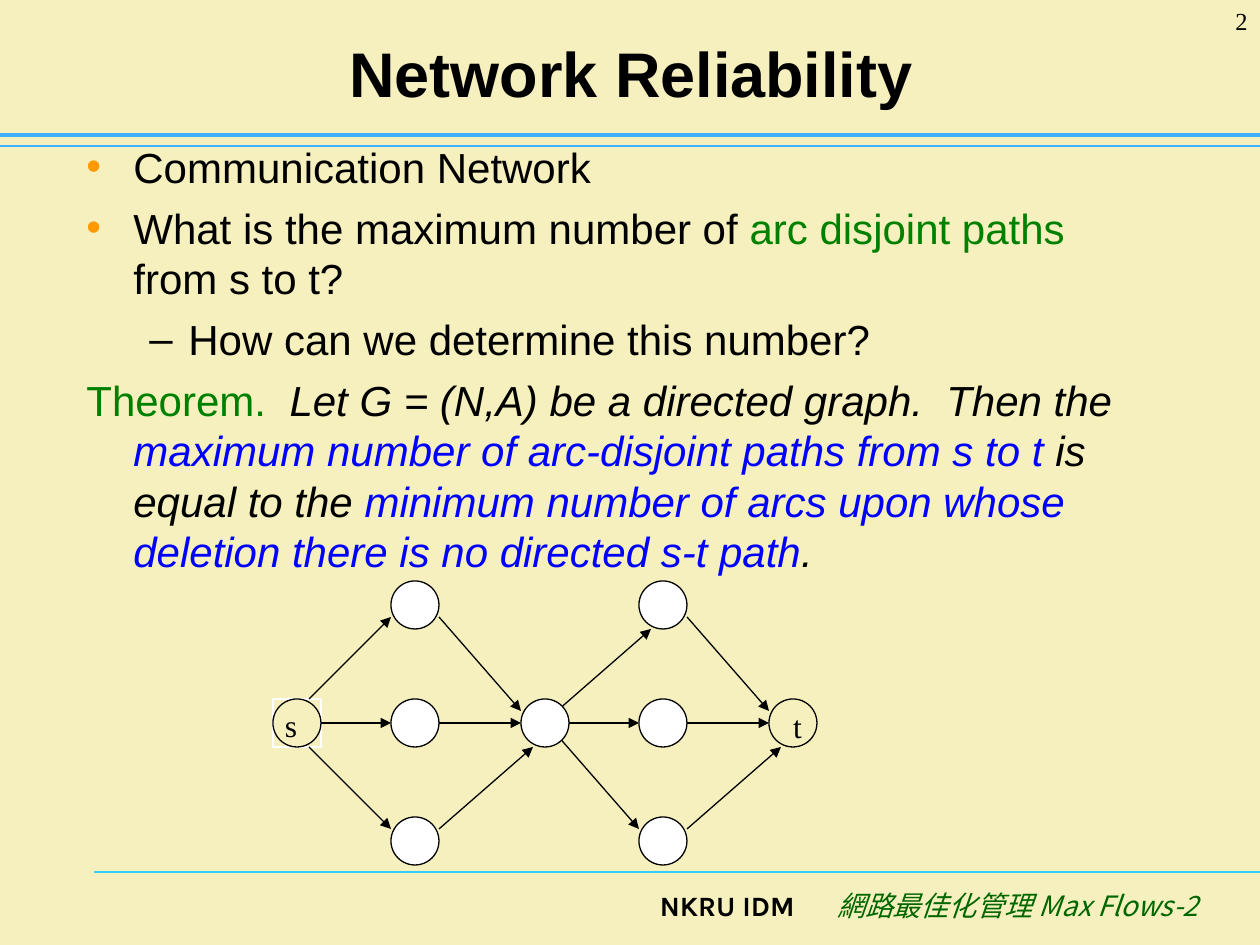
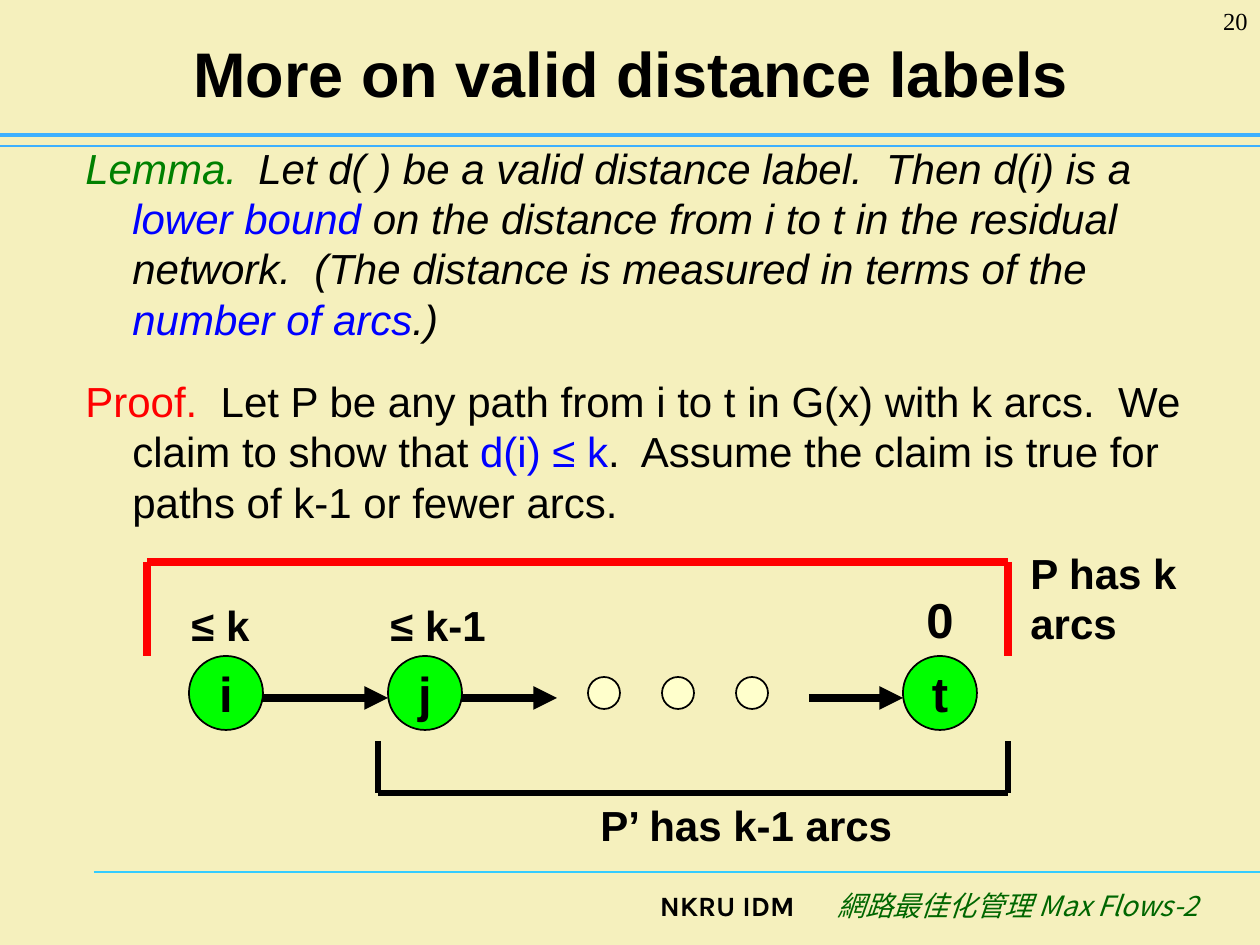
"""Build two slides on network reliability and valid distance labels."""
import itertools

import lxml.etree
import pptx
import pptx.dml.color
import pptx.enum.shapes
import pptx.enum.text
import pptx.oxml.ns
import pptx.util

SCALE = 914400 / 126
SHAPE = pptx.enum.shapes.MSO_SHAPE
ALIGN = pptx.enum.text.PP_ALIGN
ANCHOR = pptx.enum.text.MSO_ANCHOR
COLORS = {
    "paper": "F5F0BD", "ink": "000000", "band": "3DB0FF", "rule": "33CCFF",
    "bullet": "FF9900", "term": "008000", "key": "0000FF", "alert": "FF0000",
    "course": "006600", "white": "FFFFFF", "node": "00FF00", "dot": "FFFFCC",
}
SANS, SERIF, CJK, BRAND = "Arial", "Times New Roman", "Noto Sans CJK SC", "Karla"

BANDS = [((0, 146), (1260, 146), "band", 0.75),
         ((0, 135), (1260, 135), "band", 2.5),
         ((94, 872), (1260, 872), "rule", 0.75)]
TITLE_BOX = (64, 16, 1134, 113)
NUMBER_BOX = (1155, 0, 105, 63)
FOOTERS = [((600, 882, 207, 63), "NKRU IDM", dict(font=BRAND, bold=True)),
           ((800, 882, 411, 63), "網路最佳化管理 Max Flows-2",
            dict(font=CJK, color="course", italic=True))]

RELIABILITY = {
    "title": "Network Reliability", "number": "2", "box": (74, 135, 1065, 703),
    "body": [
        {"bullet": ("•", "bullet"), "runs": [("Communication Network", "ink", False)]},
        {"bullet": ("•", "bullet"), "runs": [
            ("What is the maximum number of ", "ink", False),
            ("arc disjoint paths", "term", False),
            (" from s to t?", "ink", False)]},
        {"bullet": ("–", "ink"), "margin": 102, "hang": 39, "runs": [
            ("How can we determine this number?", "ink", False)]},
        {"runs": [
            ("Theorem.  ", "term", False),
            ("Let G = (N,A) be a directed graph.  Then the ", "ink", True),
            ("maximum number of arc-disjoint paths from s to t", "key", True),
            (" is equal to the ", "ink", True),
            ("minimum number of arcs upon whose deletion there is no directed s-t path",
             "key", True),
            (".", "ink", True)]},
    ],
}
LABELS = {
    "title": "More on valid distance labels", "number": "20", "box": (73, 136, 1144, 441),
    "body": [
        {"tab": 199, "runs": [
            ("Lemma.\t", "term", True),
            ("Let d( ) be a valid distance label.  Then d(i) is a ", "ink", True),
            ("lower bound", "key", True),
            (" on the distance from i to t in the residual network.  "
             "(The distance is measured in terms of the ", "ink", True),
            ("number of arcs", "key", True),
            (".)", "ink", True)]},
        {"before": 18, "runs": [
            ("Proof. ", "alert", False),
            (" Let P be any path from i to t in G(x) with k arcs.  "
             "We claim to show that ", "ink", False),
            ("d(i) ≤ k", "key", False),
            (".  Assume the claim is true for paths of k-1 or fewer arcs.", "ink", False)]},
    ],
}

COLUMNS, ROWS, RADIUS = (297, 415, 545, 663, 793), (605, 723, 841), 24
NODES = [(0, 1, None), (1, 0, "white"), (1, 1, "white"), (1, 2, "white"), (2, 1, "white"),
         (3, 0, "white"), (3, 1, "white"), (3, 2, "white"), (4, 1, None)]
LEVEL = ((24, 0), (-24, 0))
FALL, RISE = ((24, 12), (-24, -12)), ((24, -12), (-12, 24))
ARCS = [((0, 1), (1, 0), ((12, -24), (-24, 12))), ((0, 1), (1, 2), ((12, 24), (-24, -12))),
        ((2, 1), (3, 0), ((12, -12), (-12, 24))), ((2, 1), (3, 2), ((12, 12), (-24, -12)))]
ARCS += [((col, 1), (col + 1, 1), LEVEL) for col in range(4)]
ARCS += [((col, row), (col + 1, 1), offsets)
         for col in (1, 3) for row, offsets in ((0, FALL), (2, RISE))]
ENDS = [("s", (285, 706, 13, 38)), ("t", (793, 707, 9, 38))]

PATH_TOP, PATH_SIZE, PATH_ARROW_Y = 656, 74, 698
PATH_NODES = [("i", 189), ("j", 388), ("t", 903)]
PATH_ARROWS = [(262, 388), (462, 557), (809, 903)]
DOT_SIZE, DOT_TOP, DOT_LEFT, DOT_STEP, DOT_COUNT = 32, 677, 588, 74, 3
BRACKETS = [([(147, 656), (147, 562), (1008, 562), (1008, 656)], "alert", 4.5),
            ([(378, 741), (378, 793), (1008, 793), (1008, 741)], "ink", 3)]
CAPTIONS = [("P’ has k-1 arcs", (588, 793, 388, 63), 24), ("0", (914, 583, 94, 72), 28),
            ("≤ k-1", (378, 593, 147, 63), 24), ("≤ k", (179, 593, 147, 63), 24),
            ("P has k arcs", (1018, 541, 242, 113), 24)]


def px(*lengths):
    return [pptx.util.Emu(round(length * SCALE)) for length in lengths]


def rgb(color):
    return pptx.dml.color.RGBColor.from_string(COLORS[color])


def child(parent, tag, **attributes):
    return lxml.etree.SubElement(parent, pptx.oxml.ns.qn(tag), attributes)


def add_run(paragraph, text, size, font=SANS, color="ink", bold=False, italic=False):
    run = paragraph.add_run()
    run.text = text
    run.font.size, run.font.name = pptx.util.Pt(size), font
    run.font.bold, run.font.italic = bold, italic
    run.font.color.rgb = rgb(color)
    if font == CJK:
        child(run.font._element, "a:ea", typeface=font)


def add_text(slide, box, text, size, align=ALIGN.LEFT, inset=True, **style):
    frame = slide.shapes.add_textbox(*px(*box)).text_frame
    frame.word_wrap = inset
    if not inset:
        frame.margin_left = frame.margin_right = frame.margin_top = frame.margin_bottom = 0
    frame.paragraphs[0].alignment = align
    add_run(frame.paragraphs[0], text, size, **style)


def add_line(slide, start, end, color, width, arrow=False):
    line = slide.shapes.add_connector(
        pptx.enum.shapes.MSO_CONNECTOR.STRAIGHT, *px(*start, *end))
    line.line.color.rgb, line.line.width = rgb(color), pptx.util.Pt(width)
    if arrow:
        child(line.line._get_or_add_ln(), "a:tailEnd", type="triangle")
    child(line._element.spPr, "a:effectLst")


def add_outline(slide, kind, box, fill, color="ink", width=0.75):
    shape = slide.shapes.add_shape(kind, *px(*box))
    shape.shadow.inherit = False
    if fill:
        shape.fill.solid()
        shape.fill.fore_color.rgb = rgb(fill)
    else:
        shape.fill.background()
    shape.line.color.rgb, shape.line.width = rgb(color), pptx.util.Pt(width)
    return shape


def add_body(slide, box, paragraphs):
    frame = slide.shapes.add_textbox(*px(*box)).text_frame
    frame.word_wrap = True
    for index, content in enumerate(paragraphs):
        paragraph = frame.add_paragraph() if index else frame.paragraphs[0]
        paragraph.space_before = pptx.util.Pt(content.get("before", 6))
        margin, hang = px(content.get("margin", 47), content.get("hang", 47))
        props = paragraph._p.get_or_add_pPr()
        props.set("marL", str(margin))
        props.set("indent", str(-hang))
        if "bullet" in content:
            mark, color = content["bullet"]
            child(child(props, "a:buClr"), "a:srgbClr", val=COLORS[color])
            child(props, "a:buFont", typeface=SANS)
            child(props, "a:buChar", char=mark)
        else:
            child(props, "a:buNone")
        if "tab" in content:
            child(child(props, "a:tabLst"), "a:tab", pos=str(px(content["tab"])[0]), algn="l")
        for text, color, italic in content["runs"]:
            add_run(paragraph, text, 24, color=color, italic=italic)


def add_slide(deck, content):
    slide = deck.slides.add_slide(deck.slide_layouts[5])
    for start, end, color, width in BANDS:
        add_line(slide, start, end, color, width)
    for box, text, style in FOOTERS:
        add_text(slide, box, text, 16, ALIGN.RIGHT, **style)
    title = slide.shapes.title
    title.left, title.top, title.width, title.height = px(*TITLE_BOX)
    frame = title.text_frame
    frame.auto_size = pptx.enum.text.MSO_AUTO_SIZE.NONE
    frame.vertical_anchor = ANCHOR.MIDDLE
    frame.paragraphs[0].alignment = ALIGN.CENTER
    add_run(frame.paragraphs[0], content["title"], 36, bold=True)
    add_body(slide, content["box"], content["body"])
    add_text(slide, NUMBER_BOX, content["number"], 14, ALIGN.RIGHT, font=SERIF)
    return slide


def node_box(col, row):
    return COLUMNS[col] - RADIUS, ROWS[row] - RADIUS, 2 * RADIUS, 2 * RADIUS


def draw_network(slide):
    add_outline(slide, SHAPE.RECTANGLE, node_box(0, 1), None, "white")
    for origin, target, offsets in ARCS:
        start, end = [(COLUMNS[col] + dx, ROWS[row] + dy)
                      for (col, row), (dx, dy) in zip((origin, target), offsets)]
        add_line(slide, start, end, "ink", 0.75, arrow=True)
    for col, row, fill in NODES:
        add_outline(slide, SHAPE.OVAL, node_box(col, row), fill)
    for letter, box in ENDS:
        add_text(slide, box, letter, 18, inset=False, font=SERIF)


def draw_path(slide):
    for letter, left in PATH_NODES:
        node = add_outline(slide, SHAPE.OVAL, (left, PATH_TOP, PATH_SIZE, PATH_SIZE),
                           "node", width=1)
        frame = node.text_frame
        frame.word_wrap, frame.vertical_anchor = False, ANCHOR.MIDDLE
        frame.paragraphs[0].alignment = ALIGN.CENTER
        add_run(frame.paragraphs[0], letter, 28, bold=True)
    for step in range(DOT_COUNT):
        add_outline(slide, SHAPE.OVAL,
                    (DOT_LEFT + step * DOT_STEP, DOT_TOP, DOT_SIZE, DOT_SIZE), "dot", width=1)
    for start, end in PATH_ARROWS:
        add_line(slide, (start, PATH_ARROW_Y), (end, PATH_ARROW_Y), "ink", 4.5, arrow=True)
    for corners, color, width in BRACKETS:
        for start, end in itertools.pairwise(corners):
            add_line(slide, start, end, color, width)
    for text, box, size in CAPTIONS:
        add_text(slide, box, text, size, bold=True)


def main():
    deck = pptx.Presentation()
    deck.slide_width, deck.slide_height = px(1260, 945)
    background = deck.slide_master.background.fill
    background.solid()
    background.fore_color.rgb = rgb("paper")
    draw_network(add_slide(deck, RELIABILITY))
    draw_path(add_slide(deck, LABELS))
    deck.save("out.pptx")


if __name__ == "__main__":
    main()
